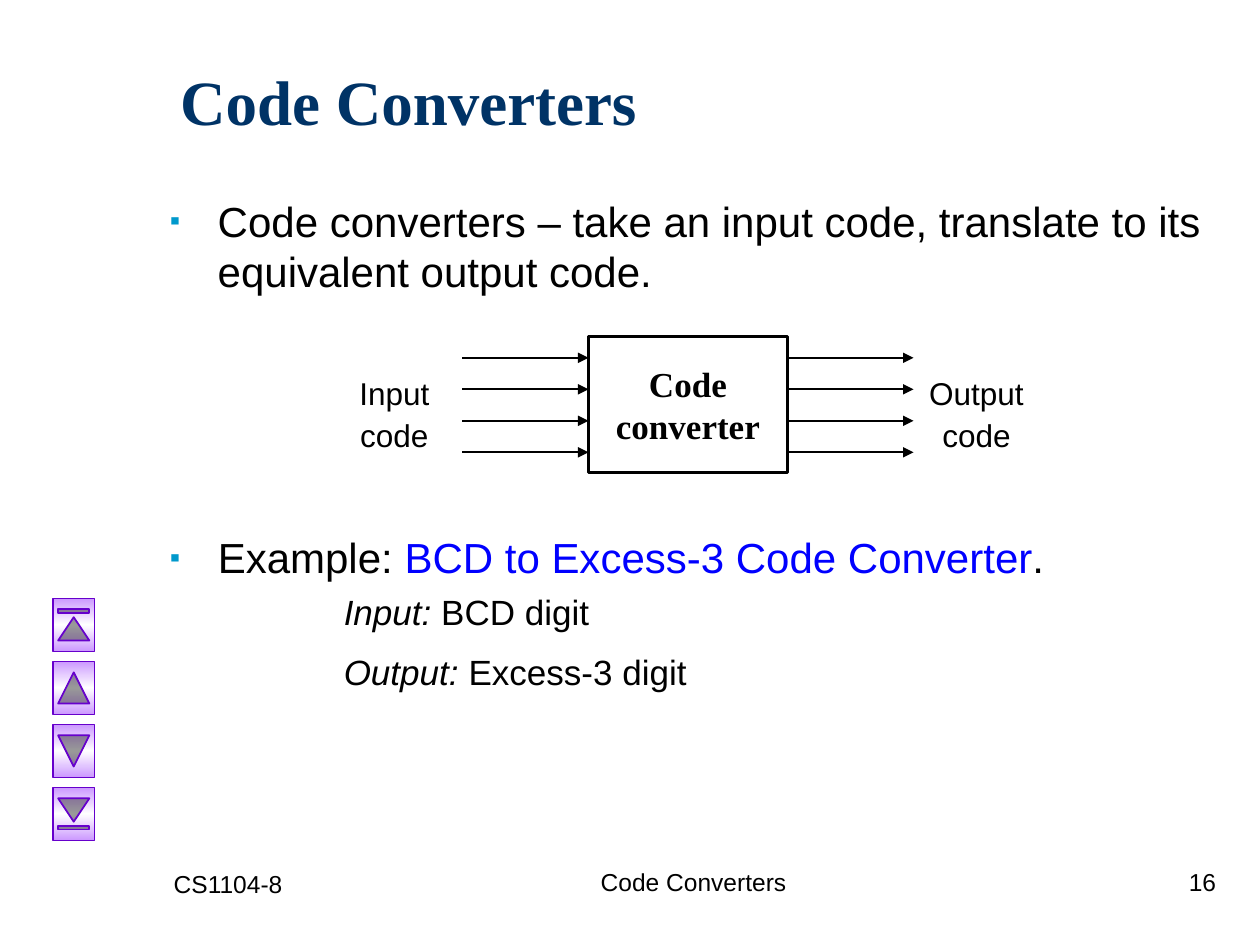
from lxml import etree
from pptx import Presentation
from pptx.dml.color import RGBColor
from pptx.enum.shapes import MSO_CONNECTOR, MSO_SHAPE
from pptx.enum.text import MSO_ANCHOR, PP_ALIGN
from pptx.oxml import parse_xml
from pptx.oxml.ns import nsdecls, qn
from pptx.util import Inches, Pt

BLACK, BLUE, NAVY, TEAL = "000000", "0000FF", "003366", "0099CC"
PURPLE, LILAC, WHITE = "6600CC", "CC99FF", "FFFFFF"
LEFT, MID, RIGHT = PP_ALIGN.LEFT, PP_ALIGN.CENTER, PP_ALIGN.RIGHT


def color(code):
    return RGBColor.from_string(code)


def write(frame, text, first=False, size=24, font="Arial", bold=False,
          align=LEFT, before=0, indent=0, bullet=None):
    """Add a paragraph; text is a string or a list of (text, colour, italic)."""
    para = frame.paragraphs[0] if first else frame.add_paragraph()
    para.alignment = align
    para.space_before = Pt(before)
    runs = [(text, BLACK, False)] if isinstance(text, str) else text
    for words, code, italic in runs:
        run = para.add_run()
        run.text = words
        run.font.size, run.font.name = Pt(size), font
        run.font.bold, run.font.italic = bold, italic
        run.font.color.rgb = color(code)
    props = para._p.get_or_add_pPr()
    props.set("marL", str(Inches(indent)))
    props.set("indent", str(Inches(-indent if bullet else 0)))
    if bullet:
        tint = etree.SubElement(props, qn("a:buClr"))
        etree.SubElement(tint, qn("a:srgbClr"), val=TEAL)
        etree.SubElement(props, qn("a:buSzPct"), val="70000")
        etree.SubElement(props, qn("a:buFont"), typeface="Arial")
        etree.SubElement(props, qn("a:buChar"), char=bullet)


def add_text(shapes, box, lines, **style):
    frame = shapes.add_textbox(*map(Inches, box)).text_frame
    frame.word_wrap = True
    for i, line in enumerate(lines):
        write(frame, line, first=i == 0, **style)
    return frame


def add_title(slide, box):
    title = slide.shapes.title
    title.left, title.top, title.width, title.height = map(Inches, box)
    frame = title.text_frame
    frame.vertical_anchor = MSO_ANCHOR.MIDDLE
    write(frame, [("Code Converters", NAVY, False)], first=True, size=36,
          font="Times New Roman", bold=True)


def add_arrow(shapes, x, y, length):
    line = shapes.add_connector(MSO_CONNECTOR.STRAIGHT, Inches(x), Inches(y),
                                Inches(x + length), Inches(y))
    line.line.color.rgb = color(BLACK)
    line.line.width = Pt(1.25)
    etree.SubElement(line.line._get_or_add_ln(), qn("a:tailEnd"),
                     type="triangle")
    etree.SubElement(line._element.spPr, qn("a:effectLst"))


def add_diagram(slide, box):
    """Converter block in the middle, four wires and a label on each side."""
    x, y, wide, high = box
    shapes = slide.shapes.add_group_shape().shapes
    width, wire = 1.58, 1
    left = x + (wide - width) / 2
    block = shapes.add_shape(MSO_SHAPE.RECTANGLE, Inches(left), Inches(y),
                             Inches(width), Inches(high))
    block.shadow.inherit = False
    block.fill.background()
    block.line.color.rgb = color(BLACK)
    block.line.width = Pt(1.5)
    add_text(shapes, (left + 0.08, y + 0.16, 1.42, 0.77),
             ["Code", "converter"], size=20, font="Times New Roman",
             bold=True, align=MID)
    for start in (left - wire, left + width):
        for i in range(4):
            add_arrow(shapes, start, y + 0.17 + i * 0.25, wire)
    for word, start, span in (("Input", x, 0.92),
                              ("Output", x + wide - 1, 1)):
        add_text(shapes, (start, y + 0.25, span, 0.73), [word, "code"],
                 size=18, align=MID, before=2.2)


def add_example(slide, box):
    frame = add_text(slide.shapes, box, [[
        ("Example: ", BLACK, False),
        ("BCD to Excess-3 Code Converter", BLUE, False),
        (".", BLACK, False)]], before=6, indent=0.38, bullet="▪")
    for label, value, gap in (("Input:", " BCD digit", 5),
                              ("Output:", " Excess-3 digit", 10)):
        write(frame, [(label, BLACK, True), (value, BLACK, False)],
              size=20, before=gap, indent=1.38)


def add_buttons(slide, box):
    """Column of action buttons, each turned a quarter clockwise."""
    x, y, wide, high = box
    kinds = (MSO_SHAPE.ACTION_BUTTON_BEGINNING,
             MSO_SHAPE.ACTION_BUTTON_BACK_OR_PREVIOUS,
             MSO_SHAPE.ACTION_BUTTON_FORWARD_OR_NEXT,
             MSO_SHAPE.ACTION_BUTTON_END)
    stops = "".join(
        f'<a:gs pos="{pos}"><a:srgbClr val="{code}"/></a:gs>'
        for pos, code in ((0, LILAC), (50000, WHITE), (100000, LILAC)))
    long = 0.42
    step = (high - long) / (len(kinds) - 1)
    for i, kind in enumerate(kinds):
        button = slide.shapes.add_shape(
            kind, Inches(x + (wide - long) / 2),
            Inches(y + i * step + (long - wide) / 2),
            Inches(long), Inches(wide))
        button.rotation = 90
        button.shadow.inherit = False
        button.fill.gradient()
        button.fill.gradient_angle = 0
        grad = button._element.spPr.find(qn("a:gradFill"))
        grad.replace(grad.find(qn("a:gsLst")), parse_xml(
            f'<a:gsLst {nsdecls("a")}>{stops}</a:gsLst>'))
        button.line.color.rgb = color(PURPLE)
        button.line.width = Pt(1)


def add_footer(slide, box):
    x, y, wide, high = box
    for text, left, top, width, align in (
            ("CS1104-8", x, y + 0.02, 2.08, LEFT),
            ("Code Converters", 3.92, y, 3.17, MID),
            ("16", x + wide - 2.08, y, 2.08, RIGHT)):
        add_text(slide.shapes, (left, top, width, high), [text], size=14,
                 align=align, before=8.8)


def main():
    deck = Presentation()
    deck.slide_width, deck.slide_height = Inches(10), Inches(7.5)
    slide = deck.slides.add_slide(deck.slide_layouts[5])
    add_title(slide, (1.33, 0.17, 8.5, 1.25))
    add_text(slide.shapes, (1.25, 1.5, 8.5, 1),
             ["Code converters – take an input code, translate to its "
              "equivalent output code."],
             before=6, indent=0.38, bullet="▪")
    add_diagram(slide, (2.67, 2.67, 5.58, 1.08))
    add_example(slide, (1.25, 4.17, 8.42, 1.5))
    add_buttons(slide, (0.42, 4.75, 0.33, 1.92))
    add_footer(slide, (1.28, 6.83, 8.47, 0.5))
    deck.save("out.pptx")


if __name__ == "__main__":
    main()
